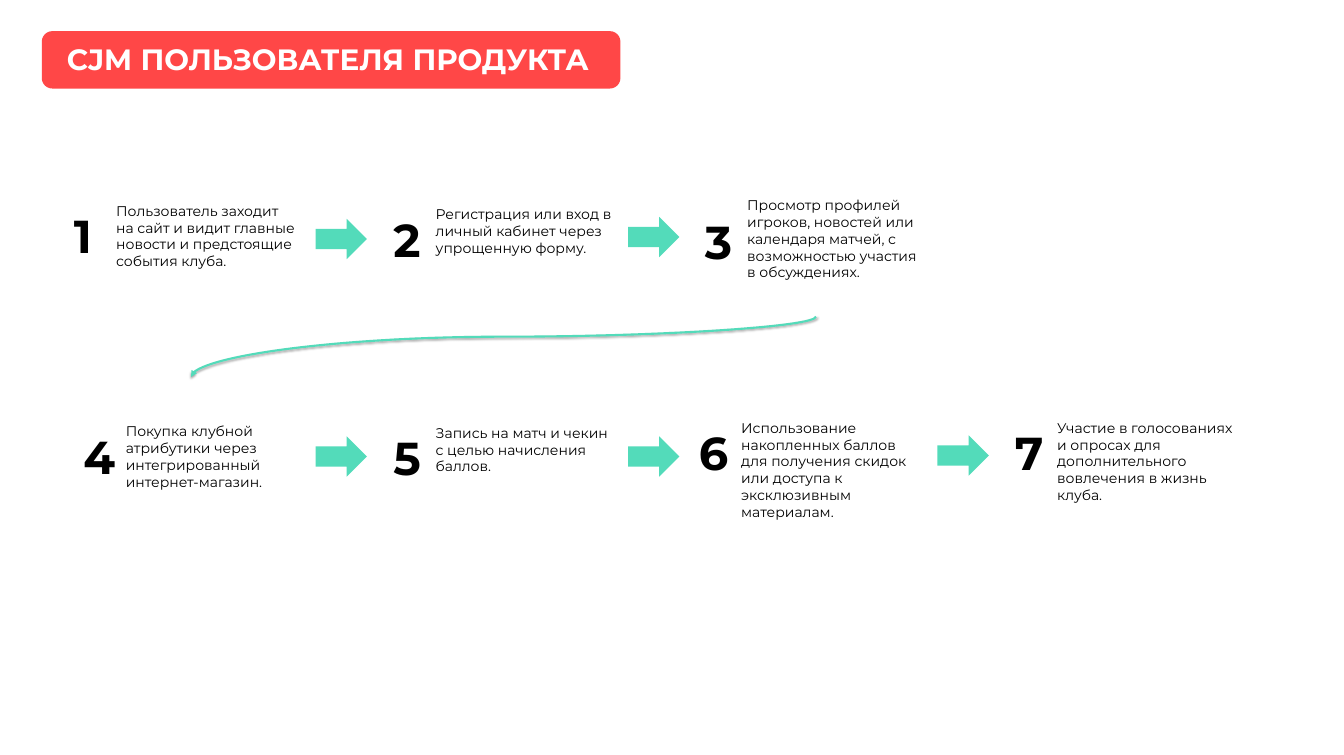
from lxml import etree
from pptx import Presentation
from pptx.dml.color import RGBColor
from pptx.enum.shapes import MSO_CONNECTOR as Link, MSO_SHAPE as Form
from pptx.enum.text import MSO_AUTO_SIZE as Fit, PP_ALIGN as Align
from pptx.oxml import parse_xml
from pptx.oxml.ns import nsdecls, qn
from pptx.util import Pt

RED, MINT, WHITE, BLACK = "FF4747", "53DBBA", "FFFFFF", "000000"
FONT = "Montserrat"
TITLE = "CJM ПОЛЬЗОВАТЕЛЯ ПРОДУКТА"

# Column, card top, digit position, caption top, lines, caption
STEPS = [
    (0, 219.6, (98.6, 293), 285.8, 4,
     "Пользователь заходит на сайт и видит главные новости и предстоящие события клуба."),
    (1, 221.8, (555.8, 298.8), 290.9, 3,
     "Регистрация или вход в личный кабинет через упрощенную форму."),
    (2, 214.6, (1001.5, 301), 277.9, 5,
     "Просмотр профилей игроков, новостей или календаря матчей, "
     "с возможностью участия в обсуждениях."),
    (0, 539.3, (112.3, 609.1), 601.2, 4,
     "Покупка клубной атрибутики через интегрированный интернет-магазин."),
    (1, 540.7, (555.8, 611.3), 603.4, 3,
     "Запись на матч и чекин с целью начисления баллов."),
    (2, 533.5, (992.9, 603.4), 596.2, 6,
     "Использование накопленных баллов для получения скидок "
     "или доступа к эксклюзивным материалам."),
    (3, 540, (1445, 604.1), 596.2, 5,
     "Участие в голосованиях и опросах для дополнительного вовлечения в жизнь клуба."),
]
# Column the arrow leads to, top
ARROWS = [(1, 313.2), (2, 310.3), (1, 624.2), (2, 624.2), (3, 622.8)]
COLS = [77.8, 524.9, 972, 1414.8]
CARD_W, CARD_H = 391, 238.3
ARROW_W, ARROW_H, ARROW_GAP = 73.4, 57.6, 73.4
TEXT_GAP, TEXT_W, LINE_H = 60.6, 270.7, 24.3


def color(code):
    return RGBColor.from_string(code)


def box(form, x, y, w, h, fill, adj=None):
    shape = slide.shapes.add_shape(form, Pt(x), Pt(y), Pt(w), Pt(h))
    shape.shadow.inherit = False
    shape.fill.solid()
    shape.fill.fore_color.rgb = color(fill)
    shape.line.fill.background()
    if adj is not None:
        shape.adjustments[0] = adj
    return shape


def label(text, x, y, w, h, size, tint=BLACK, bold=False, align=Align.LEFT, inset=True):
    frame = slide.shapes.add_textbox(Pt(x), Pt(y), Pt(w), Pt(h)).text_frame
    frame.word_wrap = True
    frame.auto_size = Fit.SHAPE_TO_FIT_TEXT if inset else Fit.NONE
    if not inset:
        for side in ("left", "top", "right", "bottom"):
            setattr(frame, f"margin_{side}", 0)
    para = frame.paragraphs[0]
    para.alignment = align
    run = para.add_run()
    run.text = text
    for key, value in {"name": FONT, "size": Pt(size), "bold": bold}.items():
        setattr(run.font, key, value)
    run.font.color.rgb = color(tint)


def curve(start, end):
    """Curve that leaves a card's bottom and enters another card's top."""
    wire = slide.shapes.add_connector(Link.CURVE, 0, 0, 0, 0)
    wire.begin_connect(start, 2)
    wire.end_connect(end, 0)
    # A quarter turn makes the curve leave downwards
    left, top, w, h = wire.left, wire.top, wire.width, wire.height
    wire.left, wire.top = left + (w - h) // 2, top + (h - w) // 2
    wire.width, wire.height = h, w
    props = wire._element.spPr
    frame = props.find(qn("a:xfrm"))
    frame.attrib.pop("flipH", None)
    frame.set("rot", "5400000")
    guides = props.find(qn("a:prstGeom")).get_or_add_avLst()
    etree.SubElement(guides, qn("a:gd"), name="adj1", fmla="val 33333")
    wire.line.color.rgb = color(MINT)
    wire.line.width = Pt(3)
    etree.SubElement(props.find(qn("a:ln")), qn("a:tailEnd"), type="triangle")
    props.append(parse_xml(
        f'<a:effectLst {nsdecls("a")}><a:outerShdw blurRad="{Pt(3.1)}" '
        f'dist="{Pt(1.8)}" dir="5400000" rotWithShape="0"><a:srgbClr val="{BLACK}">'
        '<a:alpha val="35000"/></a:srgbClr></a:outerShdw></a:effectLst>'))


deck = Presentation()
deck.slide_width, deck.slide_height = Pt(1923.1), Pt(1080)
slide = deck.slides.add_slide(deck.slide_layouts[6])

# Title
box(Form.ROUNDED_RECTANGLE, 59.8, 44.6, 828, 82.1, RED, 0.184)
label(TITLE, 59.8, 58.3, 818.6, 56.2, 42, WHITE, True, Align.CENTER, False)

# Cards
cards = [box(Form.ROUNDED_RECTANGLE, COLS[col], top, CARD_W, CARD_H, WHITE, 0.105)
         for col, top, *_ in STEPS]

# Arrows, and the curve from the first row to the second
for col, top in ARROWS:
    box(Form.RIGHT_ARROW, COLS[col] - ARROW_GAP, top, ARROW_W, ARROW_H, MINT)
curve(cards[2], cards[3])

# Digits and captions
for num, (_, _, (x, y), top, lines, text) in enumerate(STEPS, 1):
    label(text, x + TEXT_GAP, top, TEXT_W, lines * LINE_H + 7.2, 20)
    label(str(num), x, y, 28.8, 87.1, 66, bold=True)

deck.save("out.pptx")
